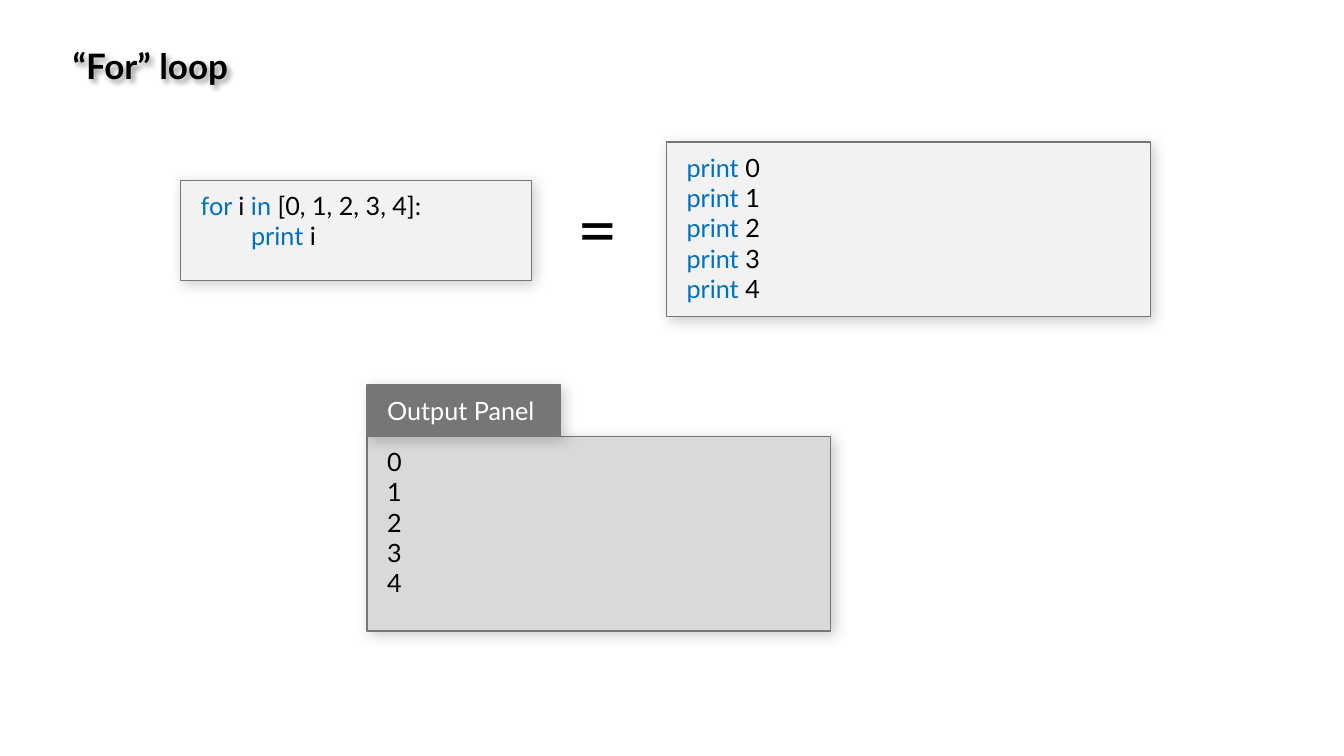
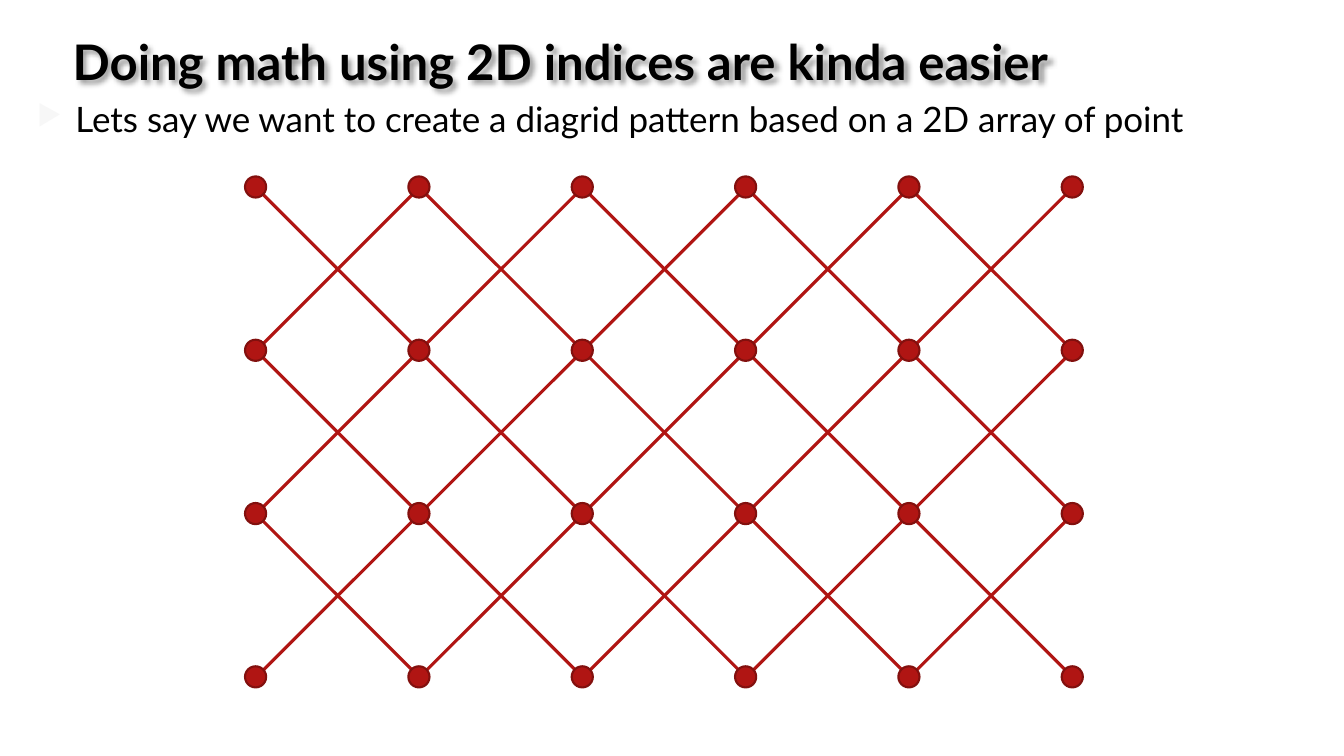
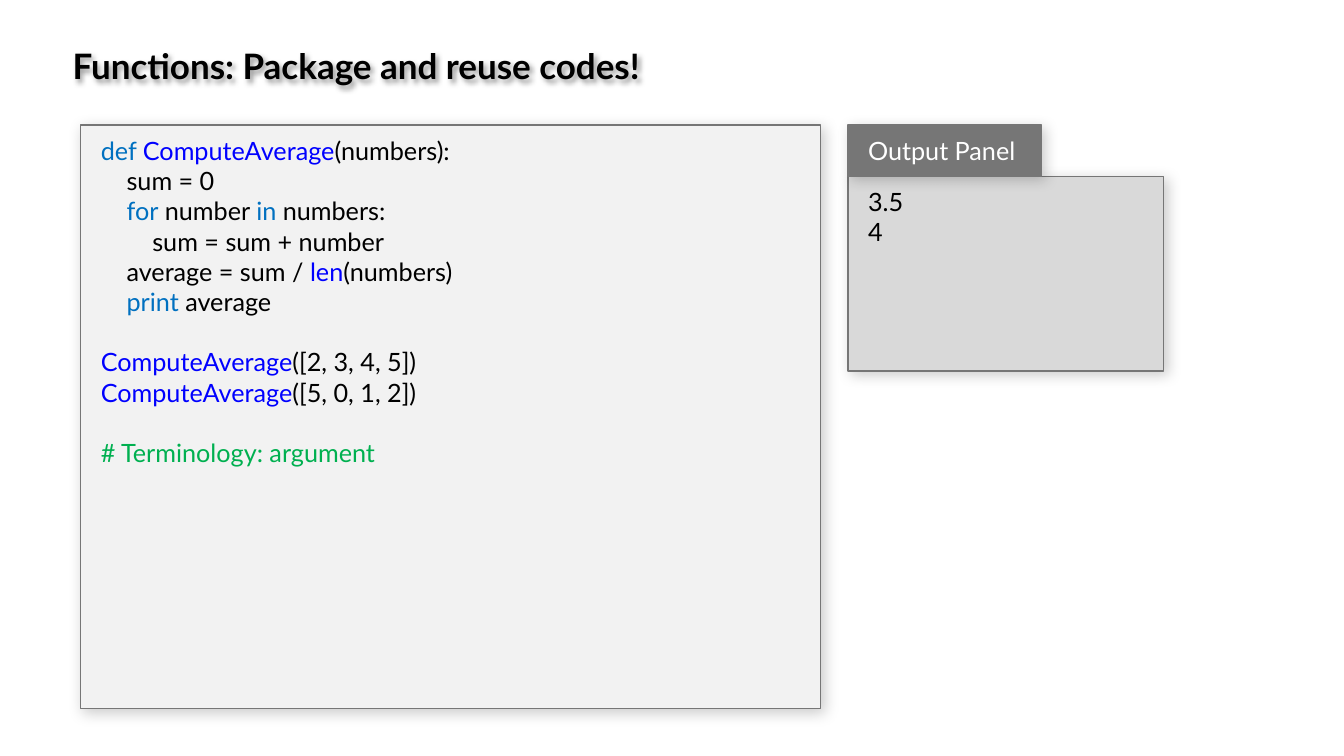
from lxml import etree
from pptx import Presentation
from pptx import util as u
from pptx.dml.color import RGBColor
from pptx.enum import shapes, text
from pptx.oxml import parse_xml
from pptx.oxml.ns import nsdecls, qn

PX = 9144
FONT = "Lato"
BLACK, WHITE = "000000", "FFFFFF"
KEYWORD, FUNCTION, COMMENT = "0070C0", "0000FF", "00B050"
CODE_FILL, OUTPUT_FILL, TAB_FILL, BORDER = "F2F2F2", "D9D9D9", "767676", "767676"
DOT, DOT_EDGE, BULLET = "B01513", "82100E", "F7F7F7"
rgb = RGBColor.from_string


def write(tf, lines, size, bold=False):
    gap = 0
    p = None
    for line in lines:
        if not line:
            gap = 21.5
            continue
        p = tf.add_paragraph() if p is not None else tf.paragraphs[0]
        p.alignment = text.PP_ALIGN.LEFT
        p.space_before = u.Pt(gap)
        gap = 0
        for words, color in line:
            r = p.add_run()
            r.text = words
            for key, value in dict(name=FONT, size=u.Pt(size), bold=bold).items():
                setattr(r.font, key, value)
            r.font.color.rgb = rgb(color)


def cast_shadow(sp, alpha, blur):
    sp.shadow.inherit = False
    effects = sp._element.spPr.find(qn("a:effectLst"))
    effects.append(parse_xml(
        f'<a:outerShdw {nsdecls("a")} blurRad="{u.Pt(blur)}" dist="{u.Pt(3)}" dir="2700000" '
        f'algn="tl" rotWithShape="0"><a:srgbClr val="{BLACK}">'
        f'<a:alpha val="{alpha * 1000}"/></a:srgbClr></a:outerShdw>'))


prs = Presentation()
prs.slide_width, prs.slide_height = 1333 * PX, 750 * PX

titles = [
    ("“For” loop", 25, 39, 115),
    ("Doing math using 2D indices are kinda easier", 35, 26, 115),
    ("Functions: Package and reuse codes!", 25, 39, 64),
]
for title, size, top, height in titles:
    s = prs.slides.add_slide(prs.slide_layouts[5])
    sp = s.shapes.title
    sp.left, sp.top, sp.width, sp.height = 62 * PX, top * PX, 1092 * PX, height * PX
    tf = sp.text_frame
    for key, value in dict(word_wrap=True, auto_size=text.MSO_AUTO_SIZE.NONE,
                           vertical_anchor=text.MSO_ANCHOR.TOP).items():
        setattr(tf, key, value)
    write(tf, [[(title, BLACK)]], size, True)
    cast_shadow(sp, 40, 4)
loop_slide, grid_slide, function_slide = prs.slides

loop_code = [
    [("for ", KEYWORD), ("i ", BLACK), ("in ", KEYWORD), ("[0, 1, 2, 3, 4]:", BLACK)],
    [("\t", BLACK), ("print ", KEYWORD), ("i", BLACK)],
]
unrolled_code = [[("print ", KEYWORD), (str(i), BLACK)] for i in range(5)]
loop_output = [[(str(i), BLACK)] for i in range(5)]
function_code = [
    [("def ", KEYWORD), ("ComputeAverage", FUNCTION), ("(numbers):", BLACK)],
    [("    sum = 0", BLACK)],
    [("    ", BLACK), ("for", KEYWORD), (" number ", BLACK), ("in", KEYWORD), (" numbers:", BLACK)],
    [("        sum = sum + number", BLACK)],
    [("    average = sum / ", BLACK), ("len", FUNCTION), ("(numbers)", BLACK)],
    [("    ", BLACK), ("print", KEYWORD), (" average", BLACK)],
    [],
    [("ComputeAverage", FUNCTION), ("([2, 3, 4, 5])", BLACK)],
    [("ComputeAverage", FUNCTION), ("([5, 0, 1, 2])", BLACK)],
    [],
    [("# Terminology: argument", COMMENT)],
]
function_output = [[("3.5", BLACK)], [("4", BLACK)]]
tab_label = [[("Output Panel", WHITE)]]

panels = [
    (loop_slide, 179, 179, 348, 99, CODE_FILL, loop_code),
    (loop_slide, 661, 141, 480, 173, CODE_FILL, unrolled_code),
    (loop_slide, 364, 433, 460, 193, OUTPUT_FILL, loop_output),
    (loop_slide, 364, 382, 192, 51, TAB_FILL, tab_label),
    (function_slide, 80, 124, 734, 579, CODE_FILL, function_code),
    (function_slide, 841, 175, 313, 193, OUTPUT_FILL, function_output),
    (function_slide, 841, 124, 192, 51, TAB_FILL, tab_label),
]
for s, x, y, w, h, fill, lines in panels:
    sp = s.shapes.add_shape(shapes.MSO_SHAPE.RECTANGLE, x * PX, y * PX, w * PX, h * PX)
    sp.fill.solid()
    sp.fill.fore_color.rgb = rgb(fill)
    sp.line.color.rgb = rgb(BORDER)
    sp.line.width = u.Pt(1)
    cast_shadow(sp, 20, 10)
    tf = sp.text_frame
    for key, value in dict(margin_left=20 * PX, margin_right=20 * PX, margin_top=10 * PX,
                           margin_bottom=10 * PX, word_wrap=True,
                           vertical_anchor=text.MSO_ANCHOR.TOP).items():
        setattr(tf, key, value)
    write(tf, lines, 18)

sp = loop_slide.shapes.add_textbox(563 * PX, 179 * PX, 60 * PX, 94 * PX)
sp.text_frame.word_wrap = False
sp.text_frame.auto_size = text.MSO_AUTO_SIZE.SHAPE_TO_FIT_TEXT
write(sp.text_frame, [[("=", BLACK)]], 50)

sp = grid_slide.shapes.add_textbox(27 * PX, 92 * PX, 1185 * PX, 83 * PX)
tf = sp.text_frame
tf.word_wrap = True
pPr = tf.paragraphs[0]._p.get_or_add_pPr()
pPr.set("marL", str(38 * PX))
pPr.set("indent", str(-38 * PX))
color = etree.SubElement(pPr, qn("a:buClr"))
etree.SubElement(color, qn("a:srgbClr"), val=BULLET)
etree.SubElement(pPr, qn("a:buSzPct"), val="80000")
etree.SubElement(pPr, qn("a:buChar"), char="▶")
write(tf, [[("Lets say we want to create a diagrid pattern based on a 2D array of point", BLACK)]], 25)

PITCH, DOT_SIZE = 162, 21
xs = [254 + PITCH * i for i in range(6)]
ys = [186 + PITCH * i for i in range(4)]
for y in ys[:-1]:
    for x in xs[:-1]:
        for start, end in ((y, y + PITCH), (y + PITCH, y)):
            c = grid_slide.shapes.add_connector(
                shapes.MSO_CONNECTOR.STRAIGHT, x * PX, start * PX, (x + PITCH) * PX, end * PX)
            c.line.color.rgb = rgb(DOT)
            c.line.width = u.Pt(2.25)
            etree.SubElement(c._element.spPr, qn("a:effectLst"))
for y in ys:
    for x in xs:
        sp = grid_slide.shapes.add_shape(
            shapes.MSO_SHAPE.OVAL, (x - 11) * PX, (y - 11) * PX, DOT_SIZE * PX, DOT_SIZE * PX)
        sp.shadow.inherit = False
        sp.fill.solid()
        sp.fill.fore_color.rgb = rgb(DOT)
        sp.line.color.rgb = rgb(DOT_EDGE)
        sp.line.width = u.Pt(1.5)

prs.save("out.pptx")
